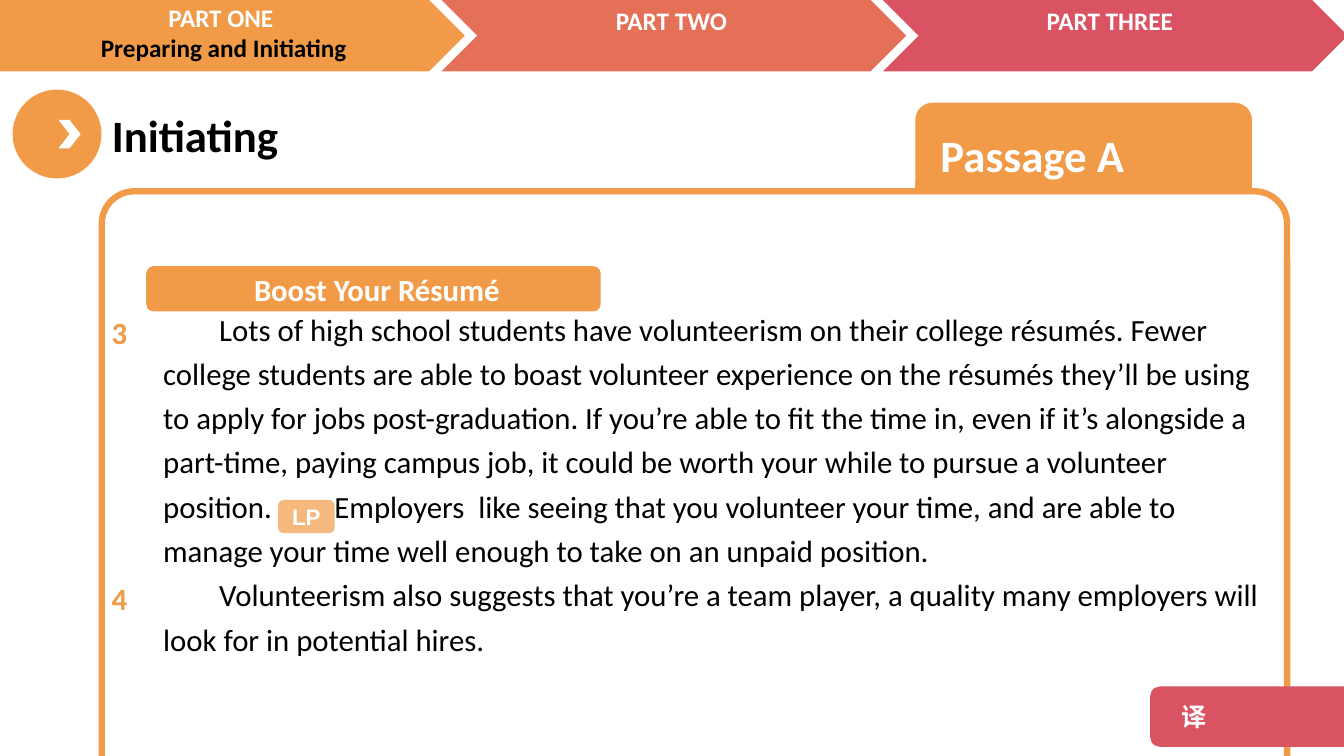
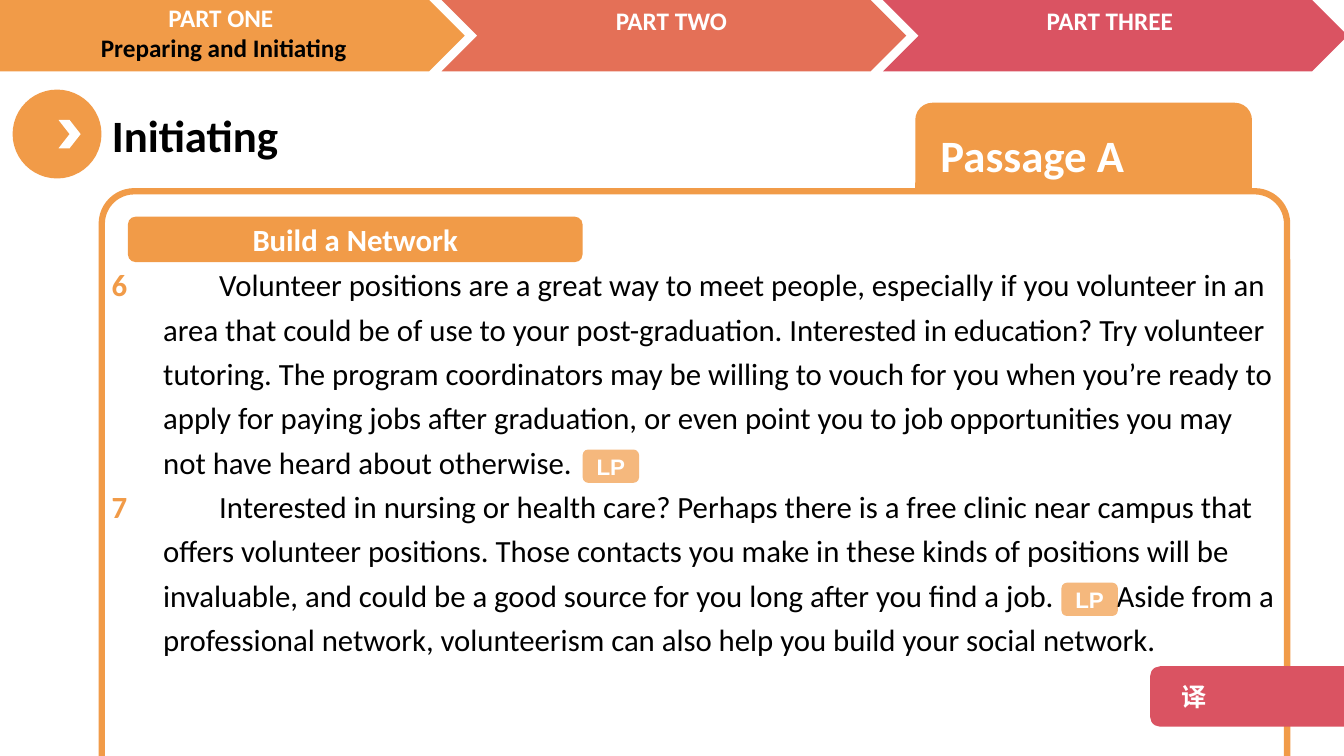
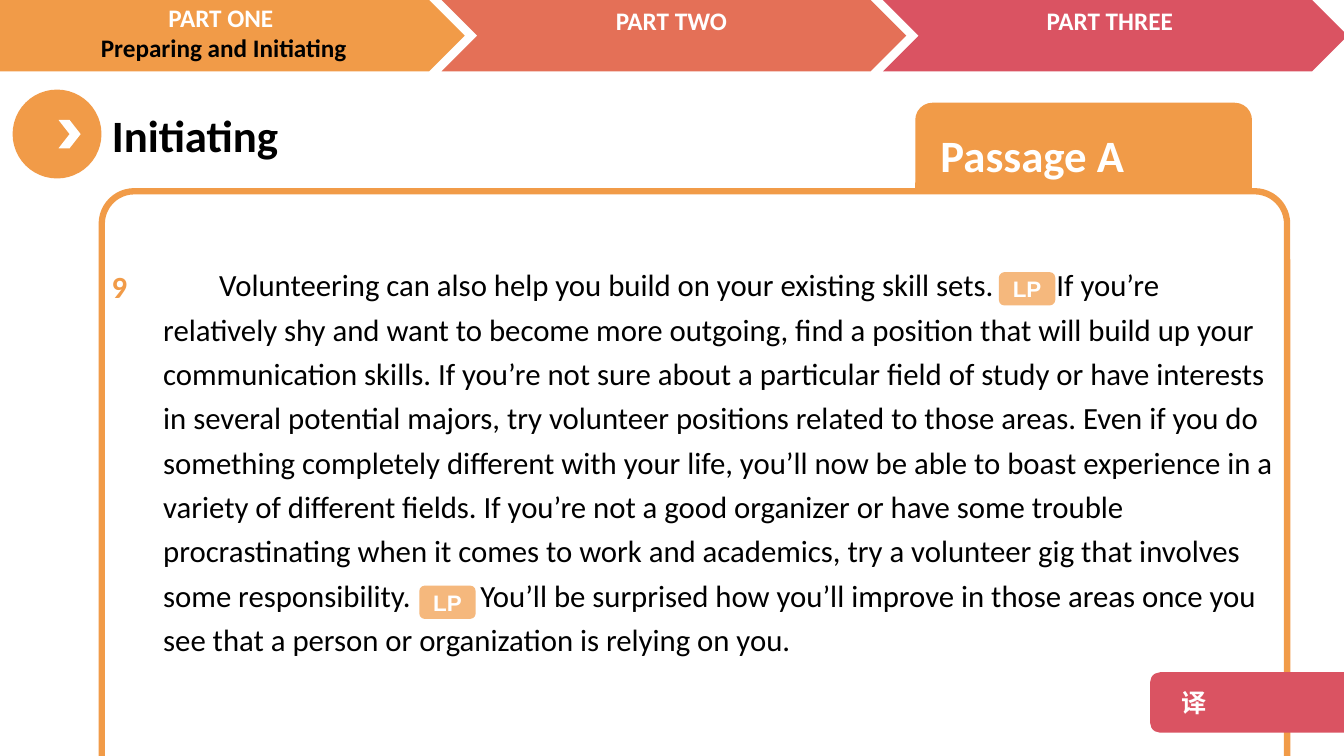
"""Build three reading-passage slides that share one framed layout."""
from dataclasses import dataclass
from itertools import zip_longest
from typing import Optional

from lxml.etree import SubElement
from pptx import Presentation
from pptx.dml.color import RGBColor
from pptx.enum.shapes import MSO_SHAPE as Preset
from pptx.enum.text import MSO_ANCHOR as Anchor, MSO_AUTO_SIZE as AutoSize, PP_ALIGN as Align
from pptx.oxml.ns import qn
from pptx.util import Pt

COLORS = {"orange": "F19B48", "coral": "E47057", "rose": "DA5362",
          "white": "FFFFFF", "black": "000000"}
LATIN = "Calibri"
CHINESE = "Noto Sans CJK SC"
BODY_SIZE = 22
LINE_PITCH = 31.64
GAP_MARK = "|"
BADGE_GAP = 44.7
WIDE_GAP = 49.7
WORD_GAP = 5


@dataclass(frozen=True)
class Area:
    left: float
    top: float
    width: float
    height: float


@dataclass(frozen=True)
class Style:
    size: float
    color: str = "white"
    font: str = LATIN
    bold: bool = True
    align: Align = Align.LEFT
    spacing: float = 1.0


@dataclass(frozen=True)
class Part:
    color: str
    chevron: Area
    label: Area
    lines: tuple[str, ...]


@dataclass(frozen=True)
class Heading:
    text: str
    left: float
    top: float


@dataclass(frozen=True)
class Passage:
    text: str
    number: str
    line: int
    gaps: tuple[float, ...] = ()


@dataclass(frozen=True)
class Reading:
    passages: tuple[Passage, ...]
    body_top: float
    number_top: float
    button_top: float
    badges: tuple[tuple[float, float], ...]
    heading: Optional[Heading] = None


TITLE_STYLE = Style(32, "black")
TAB_STYLE = Style(32)
PART_STYLE = Style(18, align=Align.CENTER)
BODY_STYLE = Style(BODY_SIZE, "black", bold=False, spacing=1.2)
NUMBER_STYLE = Style(BODY_SIZE, "orange", spacing=1.2)
HEADING_STYLE = Style(BODY_SIZE, align=Align.CENTER)
BADGE_STYLE = Style(16, font="Arial", align=Align.CENTER)
BUTTON_STYLE = Style(18, font=CHINESE)

PARTS = (
    Part("coral", Area(315.4, 0, 332, 51), Area(315.4, 0, 328.3, 51), ("PART TWO",)),
    Part("rose", Area(630.7, 0, 332, 51), Area(628.6, 0, 328.3, 29), ("PART THREE",)),
    Part("orange", Area(-44, 0, 376, 51), Area(-4.3, -2, 328.3, 51),
         ("PART ONE ", "Preparing and Initiating")),
)

READINGS = (
    Reading(
        passages=(
            Passage("Lots of high school students have volunteerism on their college résumés. "
                    "Fewer college students are able to boast volunteer experience on the "
                    "résumés they’ll be using to apply for jobs post-graduation. If you’re able "
                    "to fit the time in, even if it’s alongside a part-time, paying campus job, "
                    "it could be worth your while to pursue a volunteer position.|Employers|"
                    "like seeing that you volunteer your time, and are able to manage your time "
                    "well enough to take on an unpaid position.", "3", 0, (BADGE_GAP, WORD_GAP)),
            Passage("Volunteerism also suggests that you’re a team player, a quality many "
                    "employers will look for in potential hires.", "4", 6),
        ),
        body_top=212.7, number_top=215.4, button_top=490.3, badges=((198.7, 357.1),),
        heading=Heading(" Boost Your Résumé", 104.4, 190.1),
    ),
    Reading(
        passages=(
            Passage("Volunteer positions are a great way to meet people, especially if you "
                    "volunteer in an area that could be of use to your post-graduation. "
                    "Interested in education? Try volunteer tutoring. The program coordinators "
                    "may be willing to vouch for you when you’re ready to apply for paying jobs "
                    "after graduation, or even point you to job opportunities you may not have "
                    "heard about otherwise.", "6", 0),
            Passage("Interested in nursing or health care? Perhaps there is a free clinic near "
                    "campus that offers volunteer positions. Those contacts you make in these "
                    "kinds of positions will be invaluable, and could be a good source for you "
                    "long after you find a job.|Aside from a professional network, volunteerism "
                    "can also help you build your social network.", "7", 5, (BADGE_GAP,)),
        ),
        body_top=181.1, number_top=181.1, button_top=475.9,
        badges=((416.2, 321.1), (758.2, 416.2)),
        heading=Heading("Build a Network", 91.4, 154.8),
    ),
    Reading(
        passages=(
            Passage("Volunteering can also help you build on your existing skill sets.|If "
                    "you’re relatively shy and want to become more outgoing, find a position "
                    "that will build up your communication skills. If you’re not sure about a "
                    "particular field of study or have interests in several potential majors, "
                    "try volunteer positions related to those areas. Even if you do something "
                    "completely different with your life, you’ll now be able to boast experience "
                    "in a variety of different fields. If you’re not a good organizer or have "
                    "some trouble procrastinating when it comes to work and academics, try a "
                    "volunteer gig that involves some responsibility.|You’ll be surprised how "
                    "you’ll improve in those areas once you see that a person or organization is "
                    "relying on you.", "9", 0, (BADGE_GAP, WIDE_GAP)),
        ),
        body_top=181.1, number_top=182.5, button_top=480.2,
        badges=((713.5, 194.4), (299.5, 418.3)),
    ),
)


def rgb(name: str) -> RGBColor:
    return RGBColor.from_string(COLORS[name])


def place(shape, area: Area) -> None:
    shape.left, shape.top = Pt(area.left), Pt(area.top)
    shape.width, shape.height = Pt(area.width), Pt(area.height)


def format_text(shape, style: Style, anchor: Anchor = Anchor.TOP) -> None:
    frame = shape.text_frame
    frame.word_wrap = True
    frame.auto_size = AutoSize.NONE
    frame.vertical_anchor = anchor
    for para in frame.paragraphs:
        para.alignment = style.align
        para.line_spacing = style.spacing
        para.space_before = Pt(0)
        for span in para.runs:
            span.font.name = style.font
            span.font.size = Pt(style.size)
            span.font.bold = style.bold
            span.font.color.rgb = rgb(style.color)
            if style.font == CHINESE:
                SubElement(span.font._element, qn("a:ea"), typeface=CHINESE)


def write(shape, text: str, style: Style, anchor: Anchor = Anchor.TOP) -> None:
    shape.text_frame.text = text
    format_text(shape, style, anchor)


def add_block(page, preset: Preset, area: Area, color: str):
    shape = page.shapes.add_shape(preset, 0, 0, 0, 0)
    place(shape, area)
    shape.shadow.inherit = False
    shape.fill.solid()
    shape.fill.fore_color.rgb = rgb(color)
    shape.line.fill.background()
    return shape


def add_label(page, area: Area, text: str, style: Style):
    box = page.shapes.add_textbox(0, 0, 0, 0)
    place(box, area)
    write(box, text, style)
    return box


def draw_frame(page) -> None:
    add_block(page, Preset.OVAL, Area(9, 64, 63.5, 63.5), "orange")
    tab = add_block(page, Preset.ROUNDED_RECTANGLE, Area(653.8, 73.4, 240.5, 73.4), "orange")
    write(tab, "Passage A", TAB_STYLE, Anchor.MIDDLE)
    tab.text_frame.margin_left = Pt(14.4)
    border = add_block(page, Preset.ROUNDED_RECTANGLE, Area(72.7, 136.6, 846.7, 464.4), "white")
    border.adjustments[0] = 0.05
    border.line.color.rgb = rgb("orange")
    border.line.width = Pt(4.5)
    for part in PARTS:
        add_block(page, Preset.CHEVRON, part.chevron, part.color)
    add_block(page, Preset.CHEVRON, Area(41.8, 85.7, 15.8, 20.2), "white")
    for part in PARTS:
        box = add_label(page, part.label, "\n".join(part.lines), PART_STYLE)
        for para in box.text_frame.paragraphs[1:]:
            para.runs[0].font.color.rgb = rgb("black")


def move_to_layout(page, layout) -> None:
    for shape in list(page.shapes):
        if not shape.is_placeholder:
            layout.shapes.element.append(shape.element)


def prepare_layout(layout) -> None:
    for holder in list(layout.placeholders)[2:]:
        holder.element.getparent().remove(holder.element)
    place(layout.placeholders[0], Area(72.7, 73.4, 349.2, 46.1))


def fill_paragraph(para, passage: Passage) -> None:
    properties = para._p.get_or_add_pPr()
    properties.set("marL", "0")
    properties.set("indent", str(Pt(40)))
    SubElement(properties, qn("a:buNone"))
    for piece, gap in zip_longest(passage.text.split(GAP_MARK), passage.gaps):
        para.add_run().text = piece
        if gap:
            space = para.add_run()
            space.text = " "
            space.font._element.set("spc", str(round(gap * 100 - WORD_GAP * 100)
                                               if gap > WORD_GAP else WORD_GAP * 100))


def fill_body(body, reading: Reading) -> None:
    place(body, Area(109.4, reading.body_top, 810, 300))
    frame = body.text_frame
    for index, passage in enumerate(reading.passages):
        para = frame.add_paragraph() if index else frame.paragraphs[0]
        fill_paragraph(para, passage)
    format_text(body, BODY_STYLE)


def add_badge(page, left: float, top: float) -> None:
    badge = add_block(page, Preset.ROUNDED_RECTANGLE, Area(left, top, 40.3, 23.8), "orange")
    write(badge, "LP", BADGE_STYLE, Anchor.MIDDLE)
    badge.text_frame.margin_left = badge.text_frame.margin_right = Pt(0)
    color = badge.fill._xPr.find(qn("a:solidFill"))[0]
    SubElement(color, qn("a:alpha"), val="71000")


def draw_reading(page, reading: Reading) -> None:
    write(page.shapes.title, "Initiating", TITLE_STYLE)
    fill_body(page.placeholders[1], reading)
    for passage in reading.passages:
        top = reading.number_top + passage.line * LINE_PITCH
        add_label(page, Area(72.7, top, 36.7, 36), passage.number, NUMBER_STYLE)
    for left, top in reading.badges:
        add_badge(page, left, top)
    if reading.heading:
        area = Area(reading.heading.left, reading.heading.top, 324.7, 32.4)
        banner = add_block(page, Preset.ROUNDED_RECTANGLE, area, "orange")
        write(banner, reading.heading.text, HEADING_STYLE, Anchor.MIDDLE)
    button = add_block(page, Preset.ROUNDED_RECTANGLE,
                       Area(821.5, reading.button_top, 153.4, 43.2), "rose")
    write(button, "译", BUTTON_STYLE, Anchor.MIDDLE)
    button.text_frame.margin_left = Pt(20)


def main() -> None:
    deck = Presentation()
    deck.slide_width, deck.slide_height = Pt(960), Pt(540)
    layout = deck.slide_layouts[1]
    prepare_layout(layout)
    pages = [deck.slides.add_slide(layout) for _ in READINGS]
    draw_frame(pages[0])
    move_to_layout(pages[0], layout)
    for page, reading in zip(pages, READINGS):
        draw_reading(page, reading)
    deck.save("out.pptx")


if __name__ == "__main__":
    main()
